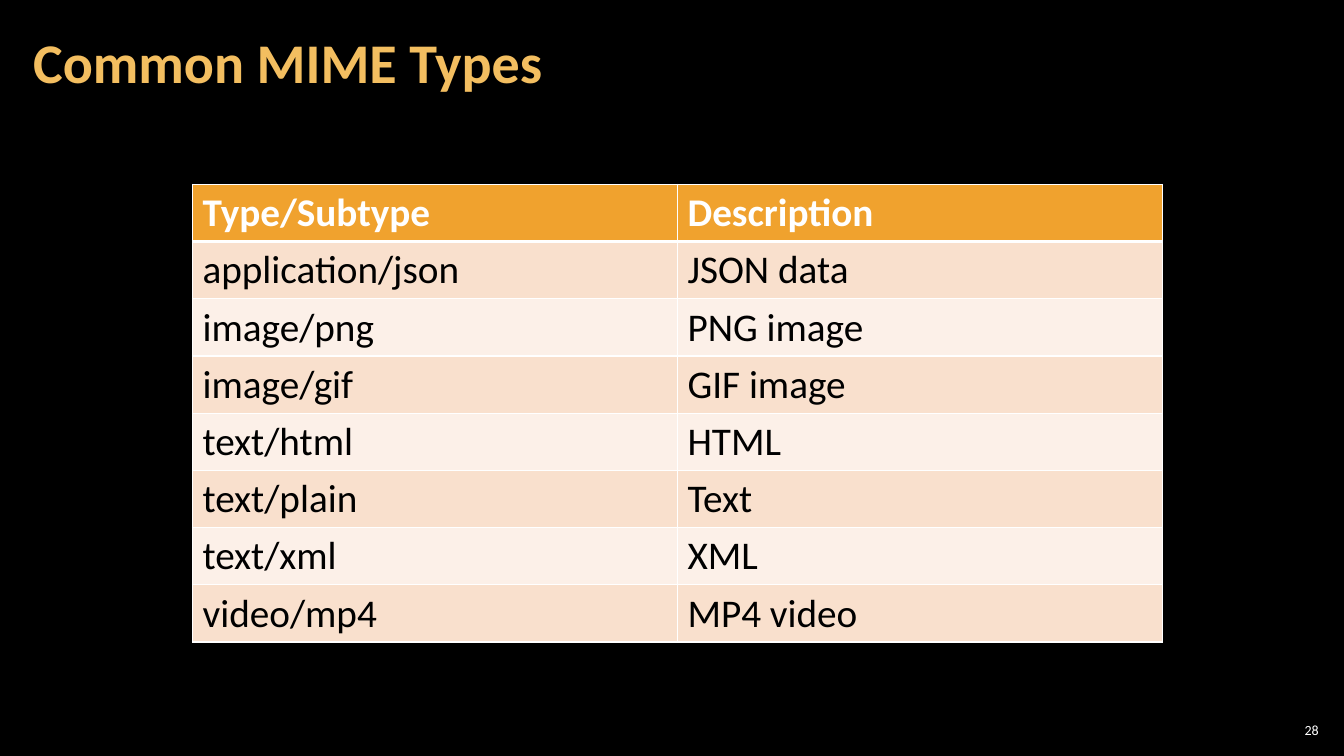
from lxml import etree
from pptx import Presentation
from pptx import util as u
from pptx.dml.color import RGBColor
from pptx.enum import text
from pptx.oxml.ns import qn

TITLE = "Common MIME Types"
PAGE = "28"
ROWS = [
    ("Type/Subtype", "Description"),
    ("application/json", "JSON data"),
    ("image/png", "PNG image"),
    ("image/gif", "GIF image"),
    ("text/html", "HTML"),
    ("text/plain", "Text"),
    ("text/xml", "XML"),
    ("video/mp4", "MP4 video"),
]
THEME = {
    "font": "Calibri",
    "background": "000000",
    "title": "F3BE60",
    "light": "FFFFFF",
    "dark": "000000",
    "header": "F0A22E",
    "bands": ("FCF0E8", "F9E0CD"),
    "title_size": 40,
    "table_size": 28,
    "page_size": 10,
    "border": 1,
    "header_rule": 3,
}
TITLE_BOX = (0.21, 0.04, 10.47, 1.21)
PAGE_BOX = (12.65, 7.14, 0.47, 0.21)
TABLE_BOX = (1.91, 1.83, 9.62, 4.53)


def rgb(name):
    return RGBColor.from_string(name)


def style(p, size, color, bold=False):
    p.font.name = THEME["font"]
    p.font.size = u.Pt(size)
    p.font.bold = bold
    p.font.color.rgb = rgb(color)


def add_text(s, box, words, size, color, bold=False, side=0.04):
    tf = s.shapes.add_textbox(*map(u.Inches, box)).text_frame
    tf.word_wrap = True
    tf.vertical_anchor = text.MSO_ANCHOR.MIDDLE
    tf.margin_left = tf.margin_right = u.Inches(side)
    tf.margin_top = tf.margin_bottom = u.Inches(0.04)
    p = tf.paragraphs[0]
    p.text = words
    style(p, size, color, bold)
    return p


def set_borders(cell, widths):
    tcPr = cell._tc.get_or_add_tcPr()
    for i, (side, width) in enumerate(widths.items()):
        ln = etree.Element(qn(f"a:ln{side}"), w=str(u.Pt(width)))
        fill = etree.SubElement(ln, qn("a:solidFill"))
        etree.SubElement(fill, qn("a:srgbClr"), val=THEME["light"])
        tcPr.insert(i, ln)


def add_types_table(s):
    table = s.shapes.add_table(len(ROWS), len(ROWS[0]), *map(u.Inches, TABLE_BOX)).table
    for row in table.rows:
        row.height = u.Inches(TABLE_BOX[3] / len(ROWS))
    thin, thick = THEME["border"], THEME["header_rule"]
    for i, row in enumerate(ROWS):
        header = i == 0
        for j, words in enumerate(row):
            cell = table.cell(i, j)
            cell.fill.solid()
            cell.fill.fore_color.rgb = rgb(THEME["header"] if header else THEME["bands"][i % 2])
            set_borders(cell, {"L": thin, "R": thin,
                               "T": thick if i == 1 else thin,
                               "B": thick if header else thin})
            p = cell.text_frame.paragraphs[0]
            p.text = words
            style(p, THEME["table_size"], THEME["light" if header else "dark"], header)


def main():
    prs = Presentation()
    prs.slide_width, prs.slide_height = u.Inches(13.33), u.Inches(7.5)
    s = prs.slides.add_slide(prs.slide_layouts[6])
    s.background.fill.solid()
    s.background.fill.fore_color.rgb = rgb(THEME["background"])
    page = add_text(s, PAGE_BOX, PAGE, THEME["page_size"], THEME["light"])
    page.alignment = text.PP_ALIGN.RIGHT
    add_types_table(s)
    title = add_text(s, TITLE_BOX, TITLE, THEME["title_size"], THEME["title"], True, 0.12)
    title.line_spacing = 0.9
    prs.save("out.pptx")


if __name__ == "__main__":
    main()
